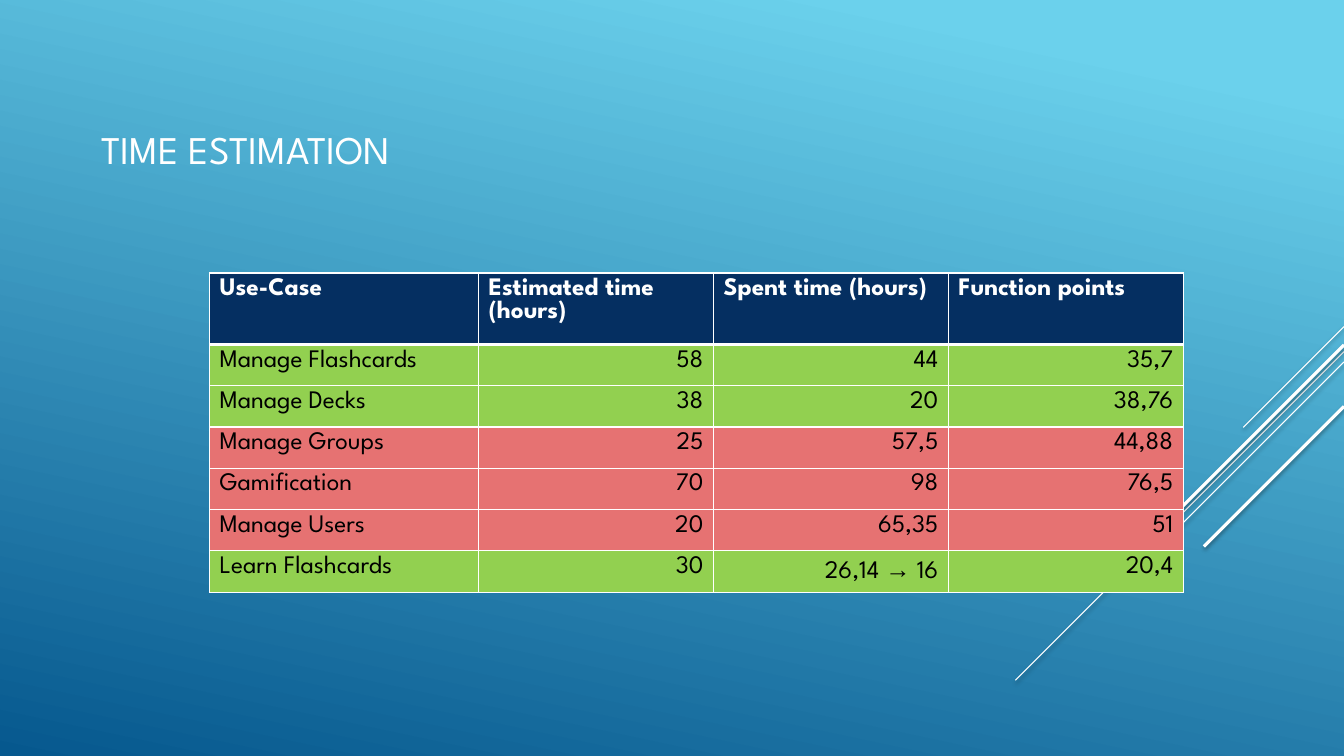
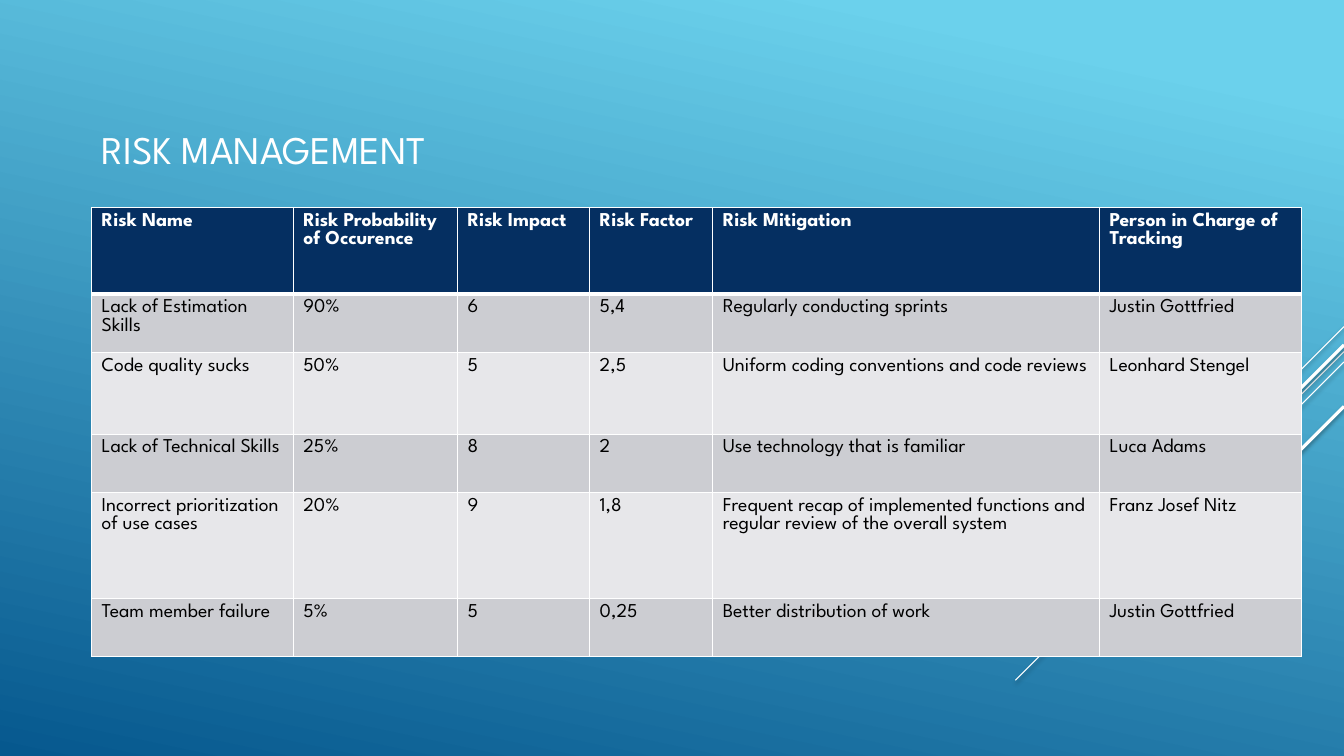
from lxml import etree
from pptx import Presentation
from pptx.dml.color import RGBColor
from pptx.enum import text
from pptx.oxml import parse_xml
from pptx.oxml.ns import nsdecls
from pptx.util import Cm, Pt

COLORS = {
    "sky": "6BD1EC", "deep": "06588E", "white": "FFFFFF", "black": "000000",
    "navy": "052F61", "green": "92D050", "red": "E67272",
    "gray": "CCCDD2", "pale": "E7E7EA",
}
FONT = "League Spartan"
THIN, THICK = 0.96, 3

TABLES = [
    {
        "title": "TIME ESTIMATION",
        "left": 5.28, "top": 6.88, "size": 18, "numbers_right": True,
        "widths": [6.78, 5.92, 5.92, 5.92],
        "heights": [1.8] + [1.04] * 6,
        "fills": ["navy", "green", "green", "red", "red", "red", "green"],
        "rows": [
            ["Use-Case", "Estimated time (hours)", "Spent time (hours)", "Function points"],
            ["Manage Flashcards", "58", "44", "35,7"],
            ["Manage Decks", "38", "20", "38,76"],
            ["Manage Groups", "25", "57,5", "44,88"],
            ["Gamification", "70", "98", "76,5"],
            ["Manage Users", "20", "65,35", "51"],
            ["Learn Flashcards", "30", "26,14 → 16", "20,4"],
        ],
    },
    {
        "title": "RISK MANAGEMENT",
        "left": 2.31, "top": 5.23, "size": 14, "numbers_right": False,
        "widths": [5.08, 4.14, 3.33, 3.1, 9.75, 5.08],
        "heights": [2.18, 1.47, 2.06, 1.47, 2.67, 1.47],
        "fills": ["navy", "gray", "pale", "gray", "pale", "gray"],
        "rows": [
            ["Risk Name", "Risk Probability of Occurence", "Risk Impact", "Risk Factor",
             "Risk Mitigation", "Person in Charge of Tracking"],
            ["Lack of Estimation Skills", "90%", "6", "5,4",
             "Regularly conducting sprints", "Justin Gottfried"],
            ["Code quality sucks", "50%", "5", "2,5",
             "Uniform coding conventions and code reviews", "Leonhard Stengel"],
            ["Lack of Technical Skills", "25%", "8", "2",
             "Use technology that is familiar", "Luca Adams"],
            ["Incorrect prioritization of use cases", "20%", "9", "1,8",
             "Frequent recap of implemented functions and regular review of the overall system",
             "Franz Josef Nitz"],
            ["Team member failure", "5%", "5", "0,25",
             "Better distribution of work", "Justin Gottfried"],
        ],
    },
]

# Diagonals fall at 45° from the right edge: start height, run, weight
DIAGONALS = [
    (8.23, 2.54, 0.75), (8.86, 8.28, 0.75), (9.12, 5.27, 0.75),
    (8.69, 4.85, 2.25), (10.24, 3.53, 2.25),
]


def style_paragraph(paragraph, size, color, bold=False):
    font = paragraph.font
    font.name, font.size, font.bold = FONT, Pt(size), bold
    font.color.rgb = RGBColor.from_string(COLORS[color])


def add_borders(cell, top, bottom):
    """White cell borders; must run before the cell gets its fill."""
    properties = cell._tc.get_or_add_tcPr()
    for side, width in (("L", THIN), ("R", THIN), ("T", top), ("B", bottom)):
        properties.append(parse_xml(
            f'<a:ln{side} {nsdecls("a")} w="{Pt(width)}"><a:solidFill>'
            f'<a:srgbClr val="{COLORS["white"]}"/></a:solidFill></a:ln{side}>'))


prs = Presentation()
prs.slide_width, prs.slide_height = Cm(33.87), Cm(19.05)
master = prs.slide_master
title_only = prs.slide_layouts[5]

# Shared background and title place
backdrop = master.background.fill
backdrop.gradient()
backdrop.gradient_angle = 360 - 102
for stop, position, color in zip(backdrop.gradient_stops, (0.1, 1), ("sky", "deep")):
    stop.position = position
    stop.color.rgb = RGBColor.from_string(COLORS[color])

title_place = title_only.placeholders[0]
title_place.left, title_place.top = Cm(2.31), Cm(1.65)
title_place.width, title_place.height = Cm(23.7), Cm(4.19)

for content in TABLES:
    slide = prs.slides.add_slide(title_only)
    title = slide.shapes.title.text_frame
    title.text = content["title"]
    title.vertical_anchor = text.MSO_ANCHOR.MIDDLE
    title.paragraphs[0].alignment = text.PP_ALIGN.LEFT
    style_paragraph(title.paragraphs[0], 28, "white")

    rows, widths, heights = content["rows"], content["widths"], content["heights"]
    table = slide.shapes.add_table(
        len(rows), len(widths), Cm(content["left"]), Cm(content["top"]),
        Cm(sum(widths)), Cm(sum(heights))).table
    for column, width in zip(table.columns, widths):
        column.width = Cm(width)

    for r, (values, height, fill) in enumerate(zip(rows, heights, content["fills"])):
        table.rows[r].height = Cm(height)
        header = r == 0
        for c, value in enumerate(values):
            cell = table.cell(r, c)
            add_borders(cell, THICK if r == 1 else THIN, THICK if header else THIN)
            cell.fill.solid()
            cell.fill.fore_color.rgb = RGBColor.from_string(COLORS[fill])
            paragraph = cell.text_frame.paragraphs[0]
            style_paragraph(paragraph, content["size"], "white" if header else "black", header)
            if content["numbers_right"] and c and not header:
                paragraph.alignment = text.PP_ALIGN.RIGHT
            before, arrow, after = value.partition("→")
            for part in filter(None, (before, arrow, after)):
                run = paragraph.add_run()
                run.text = part
                if part == "→":
                    run.font.name = "Arial"

# Diagonals are drawn on a slide, then moved to the master that all slides share
for number, (top, length, weight) in enumerate(DIAGONALS):
    diagonal = slide.shapes.add_connector(
        1, prs.slide_width, Cm(top), prs.slide_width - Cm(length), Cm(top + length))
    diagonal.line.color.rgb = RGBColor.from_string(COLORS["white"])
    diagonal.line.width = Pt(weight)
    effects = parse_xml(
        f'<a:effectLst {nsdecls("a")}><a:outerShdw blurRad="{Pt(3.1)}" dist="{Pt(1.6)}" '
        f'dir="5400000" rotWithShape="0"><a:srgbClr val="{COLORS["black"]}">'
        '<a:alpha val="38000"/></a:srgbClr></a:outerShdw></a:effectLst>')
    diagonal.element.spPr.append(effects)
    diagonal.element.xpath(".//p:cNvPr")[0].set("id", str(20 + number))
    master.shapes.element.append(diagonal.element)

etree.cleanup_namespaces(master.shapes.element)
prs.save("out.pptx")
